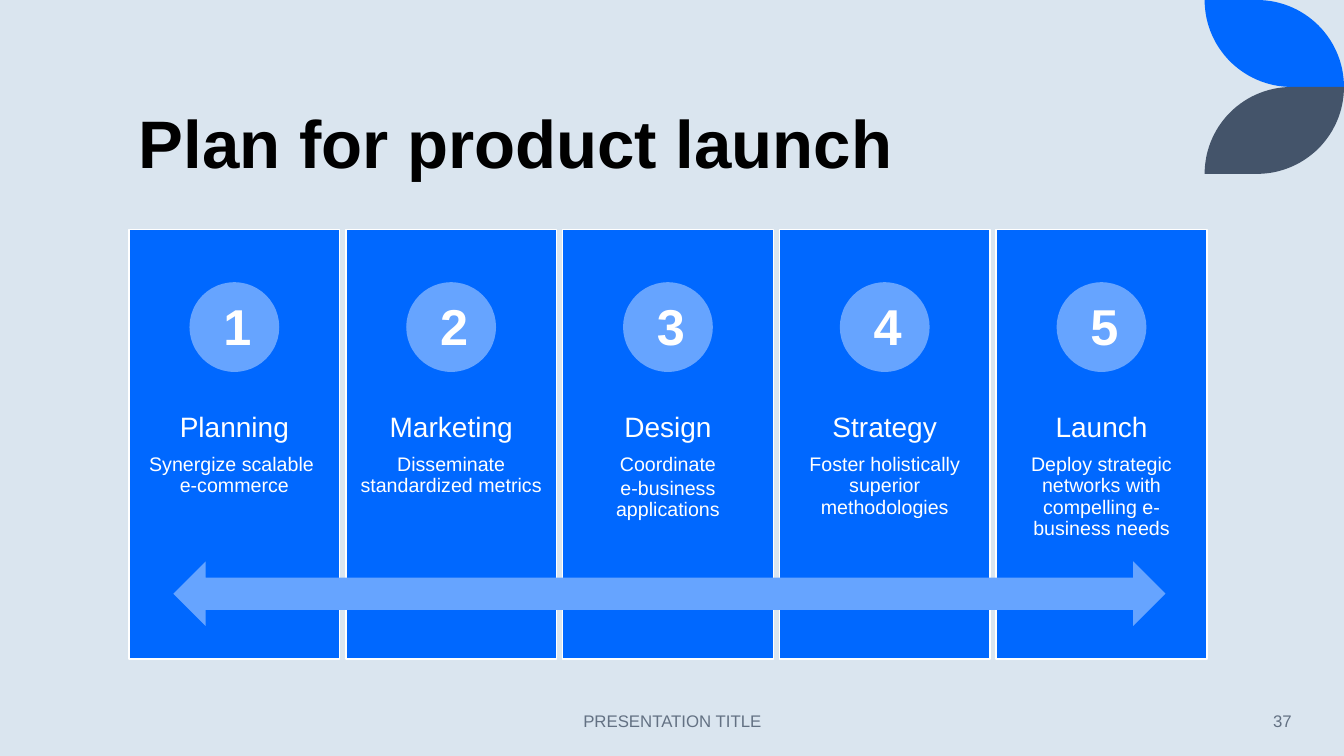
import math

import pptx
import pptx.dml.color
import pptx.enum.shapes
import pptx.enum.text
import pptx.util

WIDTH, HEIGHT = 13.33, 7.5
COLORS = {
    "background": "DAE5EF",
    "blue": "0068FF",
    "light_blue": "66A4FF",
    "slate": "44546A",
    "footer": "637183",
    "black": "000000",
    "white": "FFFFFF",
}
STEPS = [
    ("Planning", "Synergize scalable \ve-commerce"),
    ("Marketing", "Disseminate standardized metrics"),
    ("Design", "Coordinate", "e-business applications"),
    ("Strategy", "Foster holistically superior methodologies"),
    ("Launch", "Deploy strategic networks with compelling e-business needs"),
]
CARD_LEFT, CARD_WIDTH, CARD_PITCH = 9.6, 15.68, 16.13
CIRCLE_WIDTH, CIRCLE_HEIGHT = 6.68, 11.87
LEAF_LEFT, LEAF_RX, LEAF_RY = 89.63, 6.48, 11.5

SHAPE = pptx.enum.shapes.MSO_SHAPE
ALIGN = pptx.enum.text.PP_ALIGN
ANCHOR = pptx.enum.text.MSO_ANCHOR


def across(share):
    return pptx.util.Inches(WIDTH * share / 100)


def down(share):
    return pptx.util.Inches(HEIGHT * share / 100)


def place(x, y, w, h):
    return across(x), down(y), across(w), down(h)


def rgb(name):
    return pptx.dml.color.RGBColor.from_string(COLORS[name])


def paint(sp, color, outline=None):
    sp.shadow.inherit = False
    sp.fill.solid()
    sp.fill.fore_color.rgb = rgb(color)
    if outline:
        sp.line.color.rgb = rgb(outline)
        sp.line.width = pptx.util.Pt(1)
    else:
        sp.line.fill.background()


def add_preset(s, kind, box, color, outline=None):
    paint(s.shapes.add_shape(kind, *place(*box)), color, outline)


def format_paragraph(p, size, color, align, bold=False):
    p.alignment = align
    for r in p.runs:
        r.font.name = "Arial"
        r.font.size = pptx.util.Pt(size)
        r.font.bold = bold
        r.font.color.rgb = rgb(color)


def add_text(s, box, text, size, color, align, anchor=ANCHOR.TOP, bold=False):
    tf = s.shapes.add_textbox(*place(*box)).text_frame
    tf.word_wrap = True
    tf.vertical_anchor = anchor
    tf.text = text
    format_paragraph(tf.paragraphs[0], size, color, align, bold)
    return tf


def arc(cx, cy, start):
    angles = [math.radians(start + 3 * i) for i in range(31)]
    return [(cx + LEAF_RX * math.cos(a), cy + LEAF_RY * math.sin(a)) for a in angles]


def add_leaf(s, color, flipped=False):
    outline = [(LEAF_LEFT, 0)]
    outline += arc(100 - LEAF_RX, LEAF_RY, -90)
    outline += arc(LEAF_LEFT + LEAF_RX, 0, 90)
    points = [(across(x), down(2 * LEAF_RY - y if flipped else y)) for x, y in outline]
    builder = s.shapes.build_freeform(*points[0])
    builder.add_line_segments(points[1:], close=True)
    paint(builder.convert_to_shape(), color)


def add_card(s, index, heading, *details):
    left = CARD_LEFT + index * CARD_PITCH
    circle_left = left + (CARD_WIDTH - CIRCLE_WIDTH) / 2
    add_preset(s, SHAPE.RECTANGLE, (left, 30.4, CARD_WIDTH, 56.8), "blue", "white")
    add_preset(s, SHAPE.OVAL, (circle_left, 37.33, CIRCLE_WIDTH, CIRCLE_HEIGHT), "light_blue")
    add_text(s, (circle_left + 0.22, 38.4, CIRCLE_WIDTH, 9.47), str(index + 1),
             36, "white", ALIGN.CENTER, bold=True)

    tf = add_text(s, (left, 53.2, CARD_WIDTH, 22.67), heading, 20, "white", ALIGN.CENTER)
    tf.margin_left = tf.margin_right = tf.margin_top = tf.margin_bottom = pptx.util.Inches(0.11)
    tf.paragraphs[0].space_after = pptx.util.Pt(8)
    for detail in details:
        p = tf.add_paragraph()
        p.text = detail
        p.space_after = pptx.util.Pt(2)
        format_paragraph(p, 14, "white", ALIGN.CENTER)
    for p in tf.paragraphs:
        p.line_spacing = 0.9


def main():
    prs = pptx.Presentation()
    prs.slide_width = pptx.util.Inches(WIDTH)
    prs.slide_height = pptx.util.Inches(HEIGHT)
    s = prs.slides.add_slide(prs.slide_layouts[6])
    s.background.fill.solid()
    s.background.fill.fore_color.rgb = rgb("background")

    add_leaf(s, "blue")
    add_leaf(s, "slate", flipped=True)
    title = add_text(s, (CARD_LEFT, 2, 80.2, 22.93), "Plan for product launch",
                     48, "black", ALIGN.LEFT, ANCHOR.BOTTOM, bold=True)
    title.paragraphs[0].line_spacing = 0.9

    for index, step in enumerate(STEPS):
        add_card(s, index, *step)
    add_preset(s, SHAPE.LEFT_RIGHT_ARROW, (12.9, 74.27, 73.82, 8.53), "light_blue")

    add_text(s, (33.16, 92.67, 33.75, 5.33), "PRESENTATION TITLE",
             12, "footer", ALIGN.CENTER, ANCHOR.MIDDLE)
    add_text(s, (83.27, 92.67, 13.58, 5.33), "37",
             12, "footer", ALIGN.RIGHT, ANCHOR.MIDDLE)
    prs.save("out.pptx")


if __name__ == "__main__":
    main()
